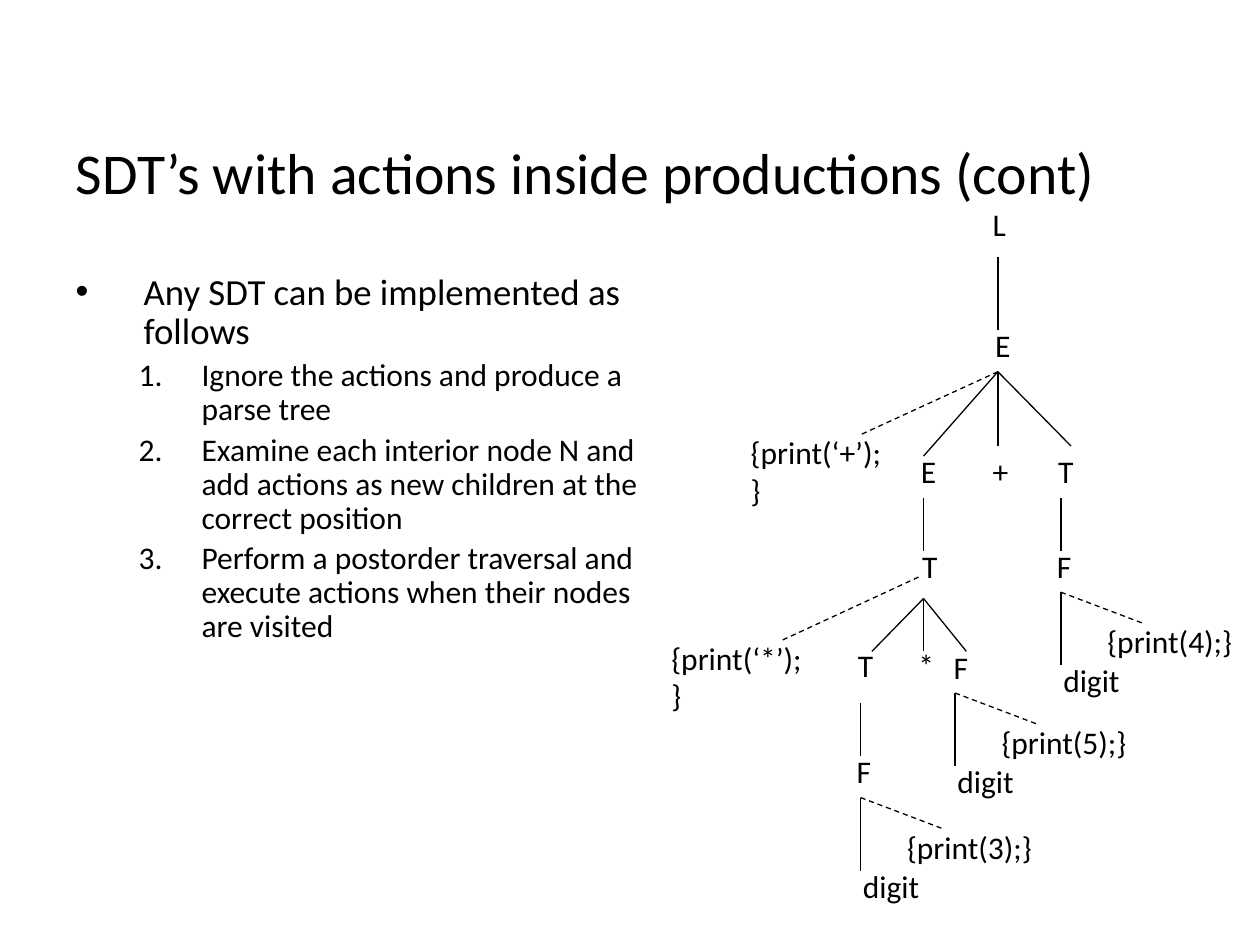
"""Build a slide on translation schemes with actions, beside an annotated parse tree."""
from dataclasses import dataclass

from lxml import etree
from pptx import Presentation
from pptx.dml.color import RGBColor
from pptx.enum.dml import MSO_LINE
from pptx.enum.shapes import MSO_CONNECTOR
from pptx.enum.text import MSO_ANCHOR, MSO_AUTO_SIZE, PP_ALIGN
from pptx.oxml.ns import qn
from pptx.util import Inches, Pt

STRAIGHT = MSO_CONNECTOR.STRAIGHT
DASH = MSO_LINE.DASH
MIDDLE, TOP = MSO_ANCHOR.MIDDLE, MSO_ANCHOR.TOP
NO_FIT, FIT_SHAPE = MSO_AUTO_SIZE.NONE, MSO_AUTO_SIZE.SHAPE_TO_FIT_TEXT
LEFT = PP_ALIGN.LEFT


@dataclass(frozen=True)
class Theme:
    ink: RGBColor = RGBColor(0, 0, 0)
    font: str = "Calibri"
    title_size: float = 33
    lead_size: float = 21
    text_size: float = 18
    line_width: float = 0.75
    line_spacing: float = 0.9
    label_height: float = 0.4


class SlideBuilder:
    def __init__(self, slide, theme):
        self.slide = slide
        self.theme = theme

    def place(self, shape, left, top, width, height):
        shape.left, shape.top = Inches(left), Inches(top)
        shape.width, shape.height = Inches(width), Inches(height)

    def add_text(self, paragraph, text, size):
        paragraph.alignment = LEFT
        run = paragraph.add_run()
        run.text = text
        run.font.name = self.theme.font
        run.font.size = Pt(size)
        run.font.color.rgb = self.theme.ink

    def title(self, text, *box):
        shape = self.slide.shapes.title
        self.place(shape, *box)
        frame = shape.text_frame
        frame.vertical_anchor, frame.auto_size = MIDDLE, NO_FIT
        paragraph = frame.paragraphs[0]
        paragraph.line_spacing = self.theme.line_spacing
        self.add_text(paragraph, text, self.theme.title_size)

    def steps(self, lead, items, *box):
        shape = self.slide.placeholders[1]
        self.place(shape, *box)
        frame = shape.text_frame
        frame.vertical_anchor, frame.auto_size = TOP, NO_FIT
        paragraph = frame.paragraphs[0]
        paragraph.space_before = Pt(0)
        self.bullet(paragraph, 0.54, 0.54, "a:buChar", char="•")
        self.add_text(paragraph, lead, self.theme.lead_size)
        for item in items:
            paragraph = frame.add_paragraph()
            paragraph.level = 1
            paragraph.space_before = Pt(3.7)
            self.bullet(paragraph, 1, 0.5, "a:buAutoNum", type="arabicPeriod")
            self.add_text(paragraph, item, self.theme.text_size)

    def bullet(self, paragraph, margin, hanging, tag, **attributes):
        paragraph.line_spacing = self.theme.line_spacing
        properties = paragraph._p.get_or_add_pPr()
        properties.set("marL", str(Inches(margin)))
        properties.set("indent", str(-Inches(hanging)))
        etree.SubElement(properties, qn(tag), attributes)

    def label(self, text, left, top, width=0.32):
        shape = self.slide.shapes.add_textbox(
            Inches(left), Inches(top), Inches(width), Inches(self.theme.label_height))
        frame = shape.text_frame
        frame.word_wrap, frame.auto_size = False, FIT_SHAPE
        self.add_text(frame.paragraphs[0], text, self.theme.text_size)

    def branch(self, start, end, dashed=False):
        connector = self.slide.shapes.add_connector(
            STRAIGHT, *(Inches(value) for value in (*start, *end)))
        connector.line.color.rgb = self.theme.ink
        connector.line.width = Pt(self.theme.line_width)
        if dashed:
            connector.line.dash_style = DASH
        etree.SubElement(connector._element.spPr, qn("a:effectLst"))

    def factor(self, digit, label_left, x, y):
        self.label("F", label_left, y - 0.41, 0.31)
        self.branch((x, y), (x, y + 0.58))
        self.label("digit", x - 0.08, y + 0.5, 0.65)
        self.label(f"{{print({digit});}}", x + 0.27, y + 0.19, 1.19)
        self.branch((x, y), (x + 0.66, y + 0.25), dashed=True)


STEPS = [
    "Ignore the actions and produce a parse tree",
    "Examine each interior node N and add actions as new children at the correct position",
    "Perform a postorder traversal and execute actions when their nodes are visited",
]
NODES = [
    ("L", 7.78, 1.58, 0.3),
    ("E", 7.8, 2.54),
    ("E", 7.21, 3.54),
    ("+", 7.78, 3.54),
    ("T", 8.3, 3.54),
    ("T", 7.22, 4.29),
    ("T", 6.71, 5.08),
    ("*", 7.19, 5.08),
    ("{print(‘+’);}", 5.86, 3.39, 1.31),
    ("{print(‘*’);}", 5.23, 5.02, 1.31),
]
SUM, PRODUCT = (7.92, 2.95), (7.33, 4.75)
BRANCHES = [
    ((7.92, 2.04), (7.92, 2.62)),
    (SUM, (7.33, 3.62)),
    (SUM, (7.92, 3.54)),
    (SUM, (8.5, 3.54)),
    (SUM, (6.83, 3.45), True),
    ((7.33, 3.95), (7.33, 4.37)),
    ((8.42, 3.95), (8.42, 4.37)),
    (PRODUCT, (6.92, 5.17)),
    (PRODUCT, (7.33, 5.17)),
    (PRODUCT, (7.67, 5.17)),
    ((7.29, 4.58), (6.21, 5.08), True),
    ((6.83, 5.58), (6.83, 6)),
]
FACTORS = [(4, 8.29, 8.42, 4.7), (5, 7.47, 7.58, 5.5), (3, 6.7, 6.83, 6.33)]


def main():
    presentation = Presentation()
    presentation.slide_width, presentation.slide_height = Inches(10), Inches(7.5)
    slide = presentation.slides.add_slide(presentation.slide_layouts[1])
    builder = SlideBuilder(slide, Theme())
    builder.title("SDT’s with actions inside productions (cont)", 0.5, 0.77, 9.17, 1.25)
    builder.steps("Any SDT can be implemented as follows", STEPS, 0.5, 2.12, 4.83, 4.8)
    for node in NODES:
        builder.label(*node)
    for branch in BRANCHES:
        builder.branch(*branch)
    for factor in FACTORS:
        builder.factor(*factor)
    presentation.save("out.pptx")


if __name__ == "__main__":
    main()
